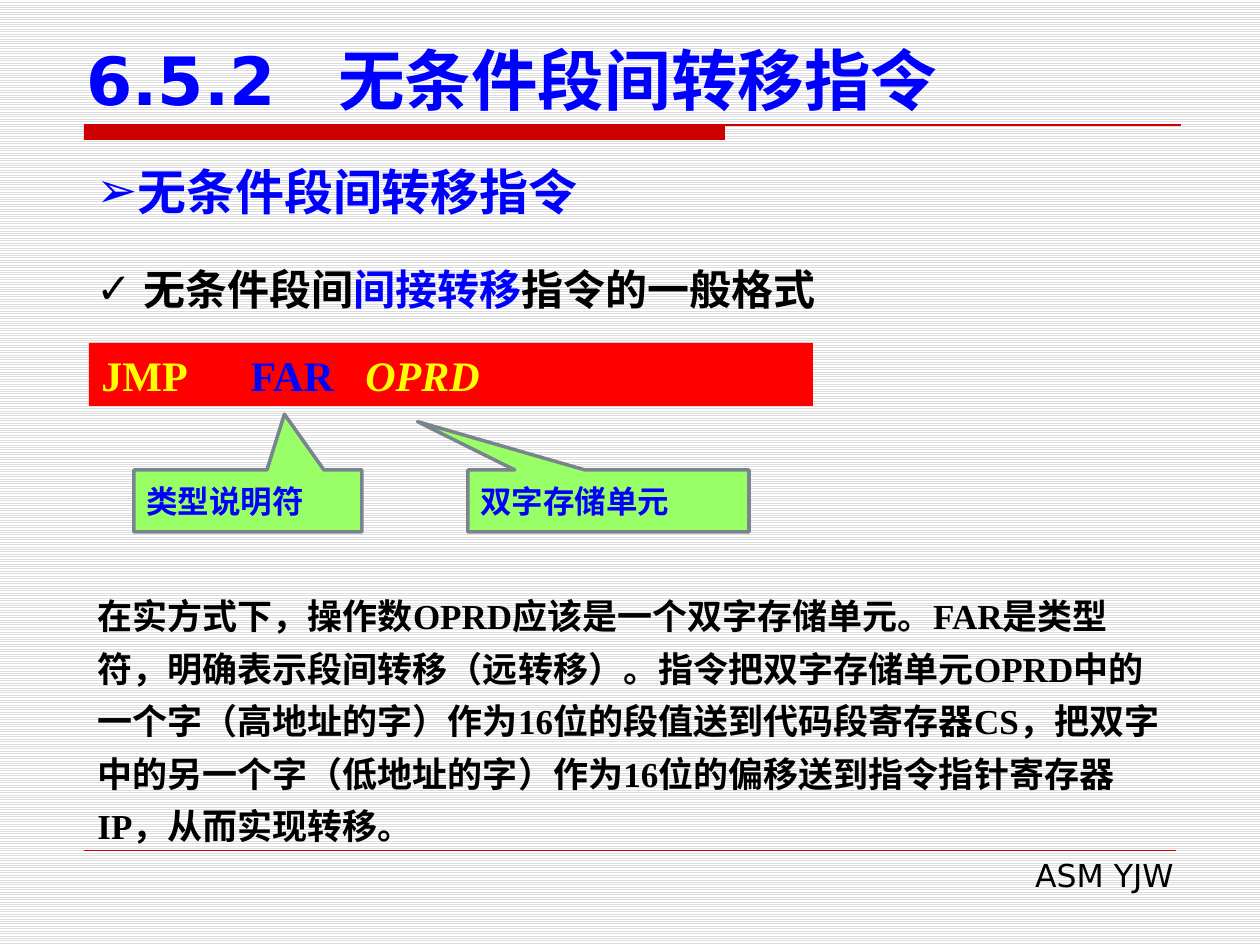
"""Build the slide on unconditional intersegment jump instructions."""
from lxml.etree import SubElement
from pptx import Presentation
from pptx.dml.color import RGBColor
from pptx.enum.dml import MSO_PATTERN
from pptx.enum.shapes import MSO_CONNECTOR, MSO_SHAPE
from pptx.enum.text import MSO_ANCHOR, PP_ALIGN
from pptx.oxml.ns import qn
from pptx.util import Inches, Pt

SCALE = Inches(1) / 126
COLORS = {
    "red": "CC0000", "banner": "FF0000", "blue": "0000FF", "black": "000000",
    "yellow": "FFFF00", "green": "99FF66", "gray": "79848F",
    "stripe": "DDDDDD", "white": "FFFFFF",
}
SANS, CJK, SERIF = "DejaVu Sans", "Noto Sans CJK SC", "Times New Roman"


def px(*lengths):
    return [round(length * SCALE) for length in lengths]


def write(shape, runs, font, frame_format={}, paragraph_format={}, bullet=None, indent=0):
    frame = shape.text_frame
    for name, value in {"word_wrap": True, "vertical_anchor": MSO_ANCHOR.TOP, **frame_format}.items():
        setattr(frame, name, value)
    paragraph = frame.paragraphs[0]
    properties = paragraph._p.get_or_add_pPr()
    properties.set("marL", str(px(indent)[0]))
    properties.set("indent", str(px(-indent)[0]))
    properties.set("hangingPunct", "0")
    if bullet:
        SubElement(properties, qn("a:buFont"), typeface=SANS)
        SubElement(properties, qn("a:buChar"), char=bullet)
    for name, value in {"alignment": PP_ALIGN.LEFT, **paragraph_format}.items():
        setattr(paragraph, name, value)
    for text, color, *changes in runs:
        run = paragraph.add_run()
        run.text = text
        for name, value in {"bold": True, **font, **dict(changes)}.items():
            setattr(run.font, name, value)
        run.font.color.rgb = RGBColor.from_string(COLORS[color])
        SubElement(run._r.get_or_add_rPr(), qn("a:ea"), typeface=CJK)


presentation = Presentation()
presentation.slide_width, presentation.slide_height = px(1260, 945)
slide = presentation.slides.add_slide(presentation.slide_layouts[6])
shapes = slide.shapes

background = slide.background.fill
background.patterned()
background.pattern = MSO_PATTERN.LIGHT_HORIZONTAL
background.fore_color.rgb = RGBColor.from_string(COLORS["stripe"])
background.back_color.rgb = RGBColor.from_string(COLORS["white"])

title_bar = shapes.add_shape(MSO_SHAPE.RECTANGLE, *px(84, 125, 641, 15))
title_bar.shadow.inherit = False
title_bar.fill.solid()
title_bar.fill.fore_color.rgb = RGBColor.from_string(COLORS["red"])
title_bar.line.fill.background()

for right, top, width in [(1181, 125, 0.75), (1176, 850, 0.25)]:
    rule = shapes.add_connector(MSO_CONNECTOR.STRAIGHT, *px(84, top, right, top))
    rule.line.color.rgb = RGBColor.from_string(COLORS["red"])
    rule.line.width = Pt(width)
    SubElement(rule._element.spPr, qn("a:effectLst"))

body = (
    "在实方式下，操作数OPRD应该是一个双字存储单元。FAR是类型符，明确表示段间转移（远转移）。"
    "指令把双字存储单元OPRD中的一个字（高地址的字）作为16位的段值送到代码段寄存器CS，"
    "把双字中的另一个字（低地址的字）作为16位的偏移送到指令指针寄存器IP，从而实现转移。"
)
text_boxes = [
    ((481, 850, 705, 50), {
        "runs": [("ASM YJW", "black")],
        "font": {"name": SANS, "size": Pt(18), "bold": False},
        "paragraph_format": {"alignment": PP_ALIGN.RIGHT}}),
    ((74, 35, 1142, 90), {
        "runs": [("6.5.2\t无条件段间转移指令", "blue")],
        "font": {"name": SANS, "size": Pt(38)},
        "frame_format": {"vertical_anchor": MSO_ANCHOR.BOTTOM}}),
    ((84, 155, 1091, 72), {
        "runs": [("无条件段间转移指令", "blue")],
        "font": {"name": SANS, "size": Pt(28)},
        "paragraph_format": {"alignment": PP_ALIGN.JUSTIFY}, "bullet": "➢"}),
    ((84, 245, 1111, 77), {
        "runs": [("无条件段间", "black"), ("间接转移", "blue"), ("指令的一般格式", "black")],
        "font": {"name": CJK, "size": Pt(24)},
        "paragraph_format": {"line_spacing": Pt(36)}, "bullet": "✓", "indent": 47}),
    ((85, 578, 1100, 272), {
        "runs": [(body, "black")],
        "font": {"name": SERIF, "size": Pt(20)},
        "paragraph_format": {"line_spacing": Pt(30)}}),
]
for box, content in text_boxes:
    write(shapes.add_textbox(*px(*box)), **content)

banner = shapes.add_shape(MSO_SHAPE.RECTANGLE, *px(89, 343, 724, 63))
banner.shadow.inherit = False
banner.fill.solid()
banner.fill.fore_color.rgb = RGBColor.from_string(COLORS["banner"])
banner.line.fill.background()
write(banner, [("JMP", "yellow"), (" ", "yellow"), ("FAR", "blue"), (" ", "blue"),
               ("OPRD", "yellow", ("italic", True))], {"name": SERIF, "size": Pt(24)})
banner_runs = banner.text_frame.paragraphs[0].runs
for index, spacing in [(1, Pt(30)), (3, Pt(12))]:
    banner_runs[index]._r.get_or_add_rPr().set("spc", str(spacing.centipoints))

callouts = [
    ("双字存储单元", 468, 281, (-0.68, -1.28)),
    ("类型说明符", 134, 228, (0.16, -1.4)),
]
for label, left, width, tip in callouts:
    callout = shapes.add_shape(MSO_SHAPE.RECTANGULAR_CALLOUT, *px(left, 470, width, 62))
    callout.shadow.inherit = False
    callout.adjustments[0], callout.adjustments[1] = tip
    callout.fill.solid()
    callout.fill.fore_color.rgb = RGBColor.from_string(COLORS["green"])
    callout.line.color.rgb = RGBColor.from_string(COLORS["gray"])
    callout.line.width = Pt(2)
    write(callout, [(label, "blue")], {"name": SANS, "size": Pt(18)},
          {"vertical_anchor": MSO_ANCHOR.MIDDLE})

presentation.save("out.pptx")
